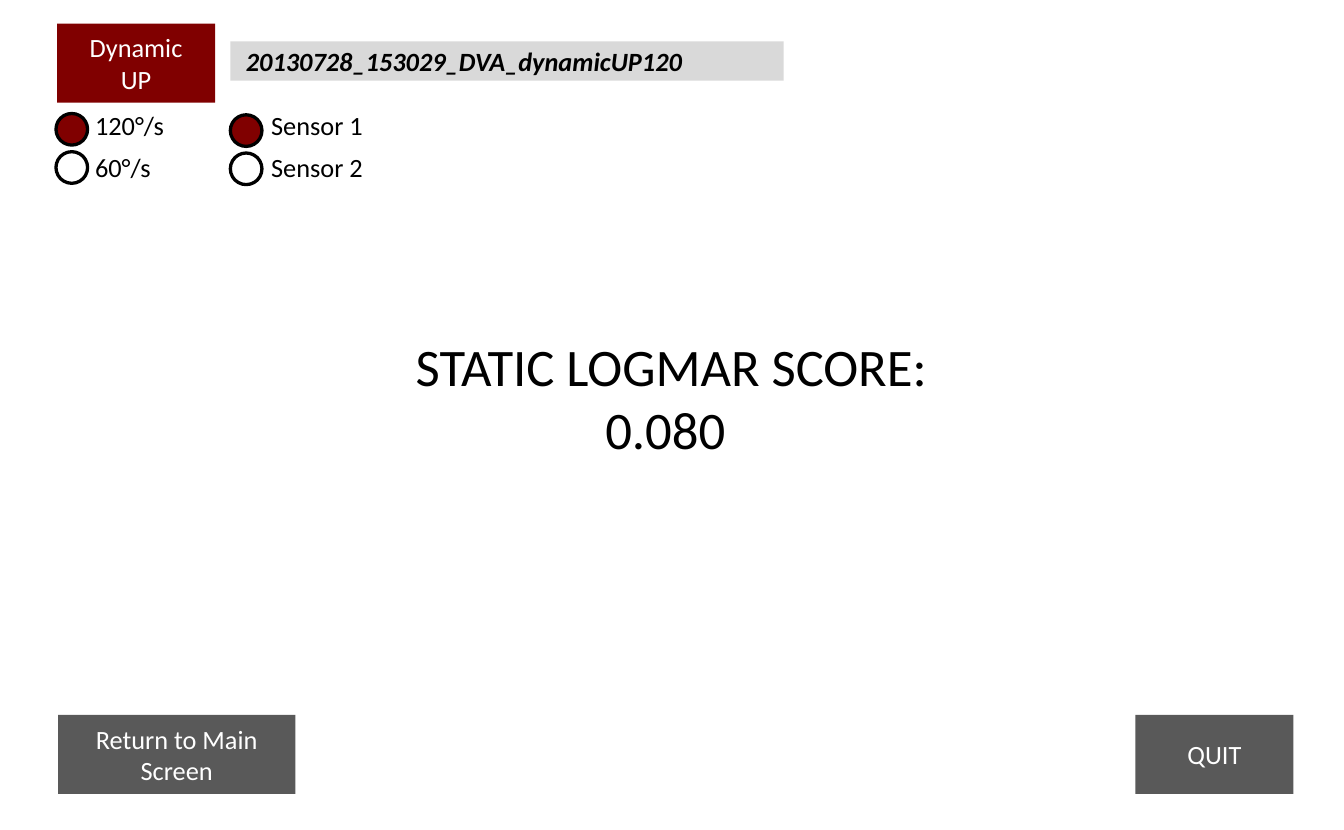
import pptx
import pptx.dml.color
import pptx.enum.shapes
import pptx.enum.text
import pptx.util

Pt = pptx.util.Pt
Shape = pptx.enum.shapes.MSO_SHAPE
Align = pptx.enum.text.PP_ALIGN
Anchor = pptx.enum.text.MSO_ANCHOR

COLOURS = {
    "black": "000000",
    "white": "FFFFFF",
    "maroon": "800000",
    "dark grey": "595959",
    "light grey": "D9D9D9",
}
FONT = "Calibri"
DOT_SIZE = 14.4


def colour(name):
    return pptx.dml.color.RGBColor.from_string(COLOURS[name])


def write(shape, lines, ink, size=12, align=Align.LEFT, emphasis=False):
    """Fill a shape with one paragraph per line."""
    frame = shape.text_frame
    for index, line in enumerate(lines):
        para = frame.add_paragraph() if index else frame.paragraphs[0]
        para.alignment = align
        span = para.add_run()
        span.text = line
        span.font.name = FONT
        span.font.size = Pt(size)
        span.font.color.rgb = colour(ink)
        span.font.bold = span.font.italic = emphasis


def add_panel(page, left, top, width, height, fill):
    panel = page.shapes.add_shape(
        Shape.RECTANGLE, Pt(left), Pt(top), Pt(width), Pt(height))
    panel.shadow.inherit = False
    panel.fill.solid()
    panel.fill.fore_color.rgb = colour(fill)
    panel.line.fill.background()
    panel.text_frame.word_wrap = True
    panel.text_frame.vertical_anchor = Anchor.MIDDLE
    return panel


def add_button(page, label, left, top, width, fill):
    button = add_panel(page, left, top, width, 36, fill)
    write(button, [label], "white", align=Align.CENTER)


def add_label(page, lines, left, top, width, height, **style):
    box = page.shapes.add_textbox(Pt(left), Pt(top), Pt(width), Pt(height))
    box.text_frame.word_wrap = False
    box.text_frame.auto_size = pptx.enum.text.MSO_AUTO_SIZE.SHAPE_TO_FIT_TEXT
    write(box, lines, "black", **style)


def add_dot(page, left, top, chosen):
    dot = page.shapes.add_shape(
        Shape.OVAL, Pt(left), Pt(top), Pt(DOT_SIZE), Pt(DOT_SIZE))
    dot.shadow.inherit = False
    if chosen:
        dot.fill.solid()
        dot.fill.fore_color.rgb = colour("maroon")
    else:
        dot.fill.background()
    dot.line.color.rgb = colour("black")
    dot.line.width = Pt(1.5)


def add_choices(page, options, dot_left, dot_top, label_left, width):
    """Stack radio buttons, with the first one chosen."""
    for row, option in enumerate(options):
        add_dot(page, dot_left, dot_top + 17.4 * row, chosen=row == 0)
        add_label(page, [option], label_left, 46.1 + 19.4 * row, width, 21.6)


def main():
    deck = pptx.Presentation()
    deck.slide_width, deck.slide_height = Pt(612), Pt(378)
    page = deck.slides.add_slide(deck.slide_layouts[6])

    add_label(page, ["STATIC LOGMAR SCORE:", "0.080 "], 178.6, 148.3, 254.2, 65.5,
              size=24, align=Align.CENTER)
    add_button(page, "Return to Main Screen", 26.5, 325.6, 108, "dark grey")
    add_button(page, "QUIT", 517, 325.6, 72, "dark grey")
    add_button(page, "Dynamic UP", 26, 10.8, 72, "maroon")

    file_name = add_panel(page, 104.9, 18.8, 252, 18, "light grey")
    write(file_name, ["20130728_153029_DVA_dynamicUP120"], "black", emphasis=True)

    add_choices(page, ["120°/s", "60°/s"], 25.5, 51.7, 36.2, 46.8)
    add_choices(page, ["Sensor 1", "Sensor 2"], 104.9, 52.3, 116.4, 68.4)

    deck.save("out.pptx")


if __name__ == "__main__":
    main()
